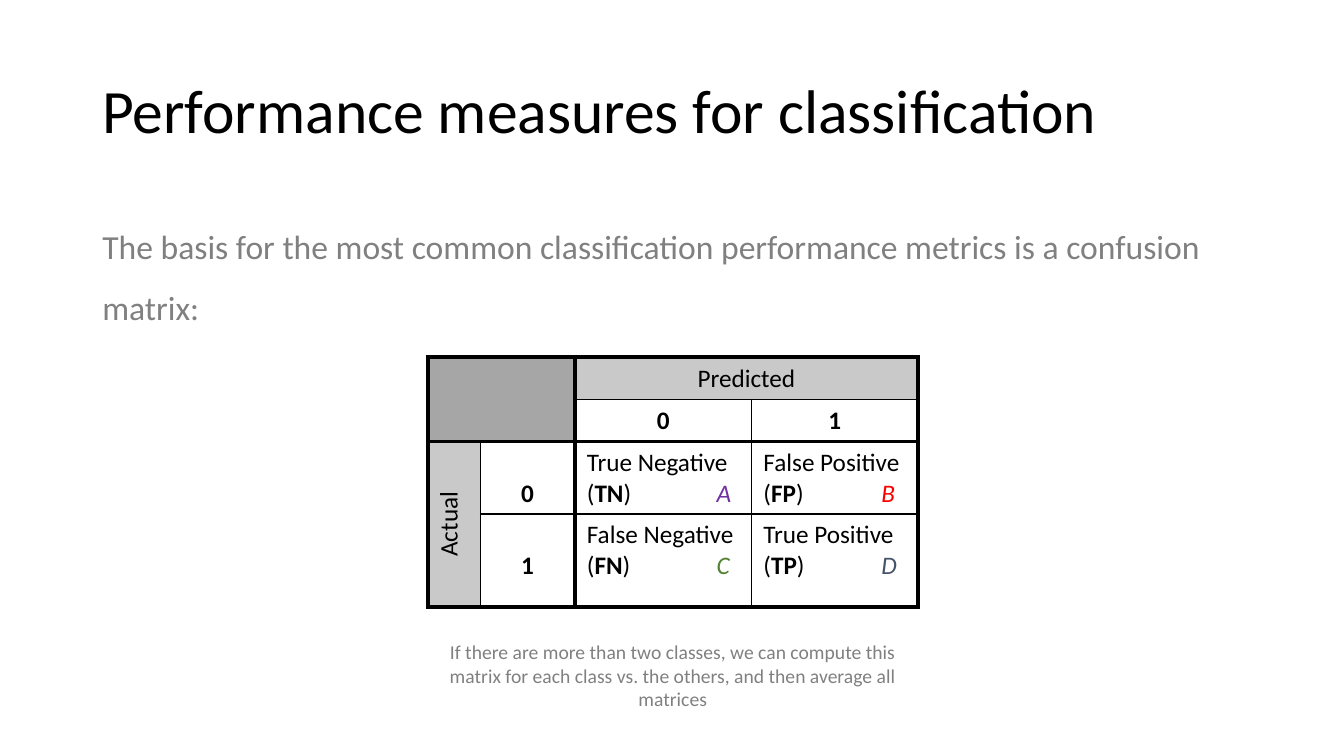
from dataclasses import dataclass

from lxml.etree import SubElement
from pptx import Presentation
from pptx.dml.color import RGBColor as Rgb
from pptx.enum.text import MSO_ANCHOR as Anchor, PP_ALIGN as Align
from pptx.oxml.ns import qn
from pptx.util import Cm, Pt


@dataclass(frozen=True)
class Theme:
    """Colours, font and type sizes of the deck."""
    font: str = "Calibri"
    ink: str = "000000"
    muted: str = "808080"
    paper: str = "FFFFFF"
    corner: str = "A6A6A6"
    header: str = "C9C9C9"
    title_size: int = 44
    body_size: int = 24
    table_size: int = 18
    note_size: int = 14
    thin: int = 1
    thick: int = 3


THEME = Theme()
COLUMNS = (1.32, 2.39, 4.45, 4.19)
ROWS = (0.94, 0.94, 1.7, 2.34)
MERGES = (((0, 0), (1, 1)), ((0, 2), (0, 3)), ((2, 0), (3, 0)))
FILLS = {(0, 0): THEME.corner, (0, 2): THEME.header, (2, 0): THEME.header}
HEADINGS = (
    (0, 2, "Predicted", False, 1),
    (1, 2, "0", True, 1),
    (1, 3, "1", True, 1),
    (2, 0, "Actual", False, 1),
    (2, 1, "0", True, 2),
    (3, 1, "1", True, 2),
)
OUTCOMES = (
    (2, 2, "True Negative", "TN", "A", "7030A0"),
    (2, 3, "False Positive", "FP", "B", "FF0000"),
    (3, 2, "False Negative", "FN", "C", "548235"),
    (3, 3, "True Positive", "TP", "D", "44546A"),
)
LETTER_TABS = {2: 3.27, 3: 2.97}


def style(font, size, color, bold=False, italic=False):
    """Set the face, size, colour and emphasis of a font."""
    font.name, font.size = THEME.font, Pt(size)
    font.bold, font.italic = bold, italic
    font.color.rgb = Rgb.from_string(color)


def add_text(page, box, text, size, color, spacing=1.0,
             align=Align.LEFT, anchor=Anchor.TOP):
    """Place one wrapped paragraph in the given box."""
    frame = page.shapes.add_textbox(*map(Cm, box)).text_frame
    frame.word_wrap = True
    frame.vertical_anchor = anchor
    frame.text = text
    para = frame.paragraphs[0]
    para.alignment, para.line_spacing = align, spacing
    style(para.runs[0].font, size, color)


def add_border(cell, side, line):
    """Draw a cell edge, thick on every second line of the grid."""
    weight = THEME.thin if line % 2 else THEME.thick
    edge = SubElement(cell._tc.get_or_add_tcPr(), qn(f"a:ln{side}"), w=str(Pt(weight)))
    fill = SubElement(edge, qn("a:solidFill"))
    SubElement(fill, qn("a:srgbClr"), val=THEME.ink)


def format_cell(cell, row, column):
    """Give a cell its margins, borders and fill."""
    cell.margin_left = cell.margin_right = Cm(0.3)
    cell.margin_top = cell.margin_bottom = Cm(0.15)
    width = cell.span_width if cell.is_merge_origin else 1
    height = cell.span_height if cell.is_merge_origin else 1
    lines = {"L": column, "R": column + width, "T": row, "B": row + height}
    for side, line in lines.items():
        add_border(cell, side, line)
    cell.fill.solid()
    cell.fill.fore_color.rgb = Rgb.from_string(FILLS.get((row, column), THEME.paper))


def fill_heading(cell, text, bold, spacing):
    """Write a centred heading in a cell."""
    cell.text_frame.text = text
    para = cell.text_frame.paragraphs[0]
    para.alignment, para.line_spacing = Align.CENTER, spacing
    style(para.runs[0].font, THEME.table_size, THEME.ink, bold)


def fill_outcome(cell, name, short, letter, color, tab):
    """Write an outcome, its abbreviation and its tabbed letter."""
    para = cell.text_frame.paragraphs[0]
    tabs = SubElement(para._p.get_or_add_pPr(), qn("a:tabLst"))
    SubElement(tabs, qn("a:tab"), pos=str(Cm(tab)), algn="l")
    parts = ((f"{name} (", THEME.ink, False, False), (short, THEME.ink, True, False),
             (")\t", THEME.ink, False, False), (letter, color, False, True))
    for text, shade, bold, italic in parts:
        span = para.add_run()
        span.text = text
        style(span.font, THEME.table_size, shade, bold, italic)


def add_matrix(page, left, top):
    """Build the confusion matrix from its top left corner."""
    size = (sum(COLUMNS), sum(ROWS))
    table = page.shapes.add_table(
        len(ROWS), len(COLUMNS), Cm(left), Cm(top), *map(Cm, size)).table
    table.first_row = table.horz_banding = False
    for column, width in zip(table.columns, COLUMNS):
        column.width = Cm(width)
    for row, height in zip(table.rows, ROWS):
        row.height = Cm(height)
    for first, last in MERGES:
        table.cell(*first).merge(table.cell(*last))
    for row in range(len(ROWS)):
        for column in range(len(COLUMNS)):
            format_cell(table.cell(row, column), row, column)
    for row, column, *heading in HEADINGS:
        fill_heading(table.cell(row, column), *heading)
    for row, column, *outcome in OUTCOMES:
        fill_outcome(table.cell(row, column), *outcome, LETTER_TABS[column])
    table.cell(2, 0)._tc.get_or_add_tcPr().set("vert", "vert270")


def add_measures_slide(deck):
    """Add the slide on classification performance measures."""
    page = deck.slides.add_slide(deck.slide_layouts[6])
    add_text(page, (2.33, 1.01, 29.21, 3.68), "Performance measures for classification",
             THEME.title_size, THEME.ink, 0.9, anchor=Anchor.MIDDLE)
    add_text(page, (2.33, 5.07, 29.21, 12.09),
             "The basis for the most common classification performance metrics "
             "is a confusion matrix:", THEME.body_size, THEME.muted, 1.5)
    left = 10.78
    add_matrix(page, left, 9)
    add_text(page, (left, 16, sum(COLUMNS), 2.05),
             "If there are more than two classes, we can compute this matrix for each "
             "class vs. the others, and then average all matrices",
             THEME.note_size, THEME.muted, align=Align.CENTER)


def main():
    """Build and save the deck."""
    deck = Presentation()
    deck.slide_width, deck.slide_height = Cm(33.87), Cm(19.05)
    add_measures_slide(deck)
    deck.save("out.pptx")


if __name__ == "__main__":
    main()
